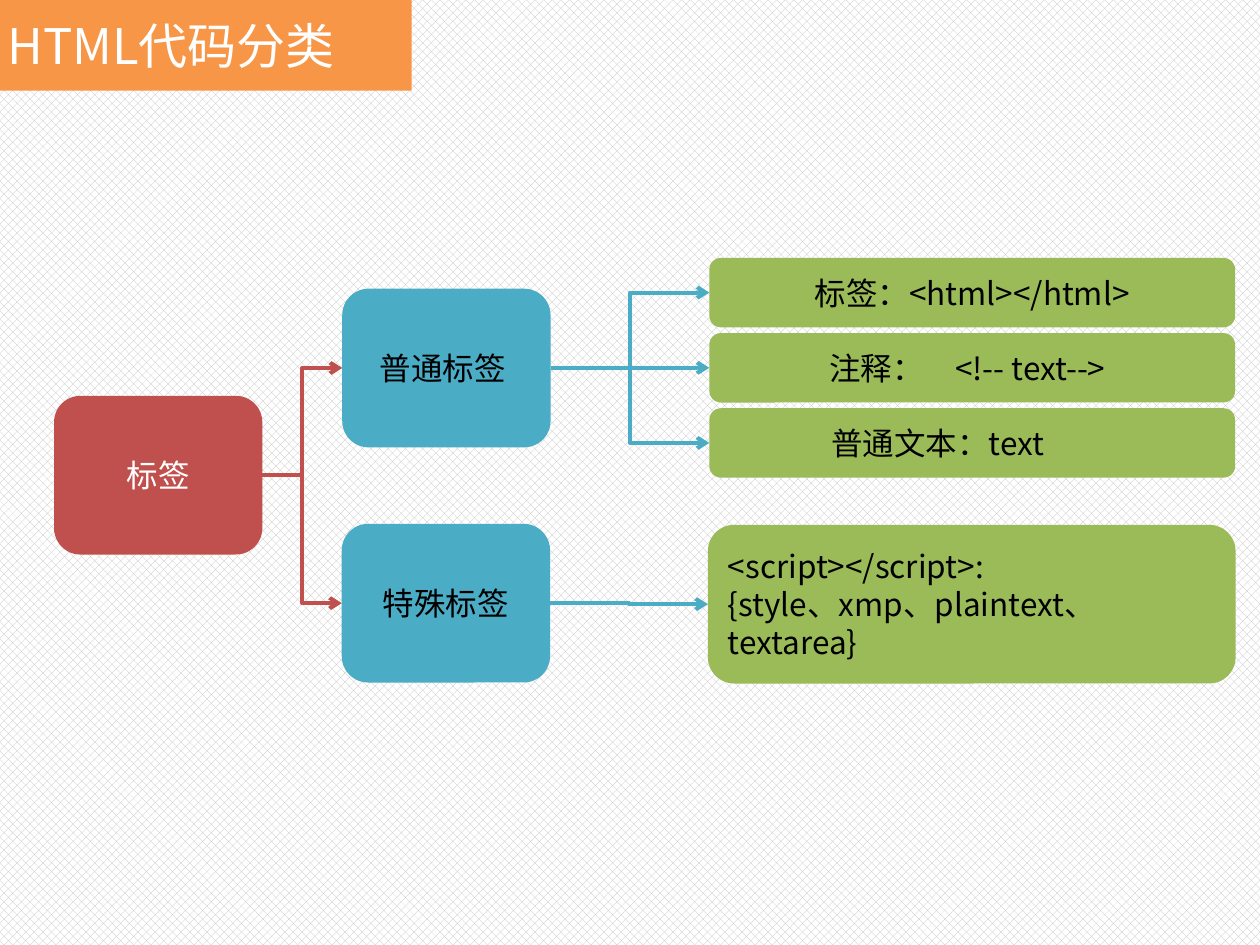
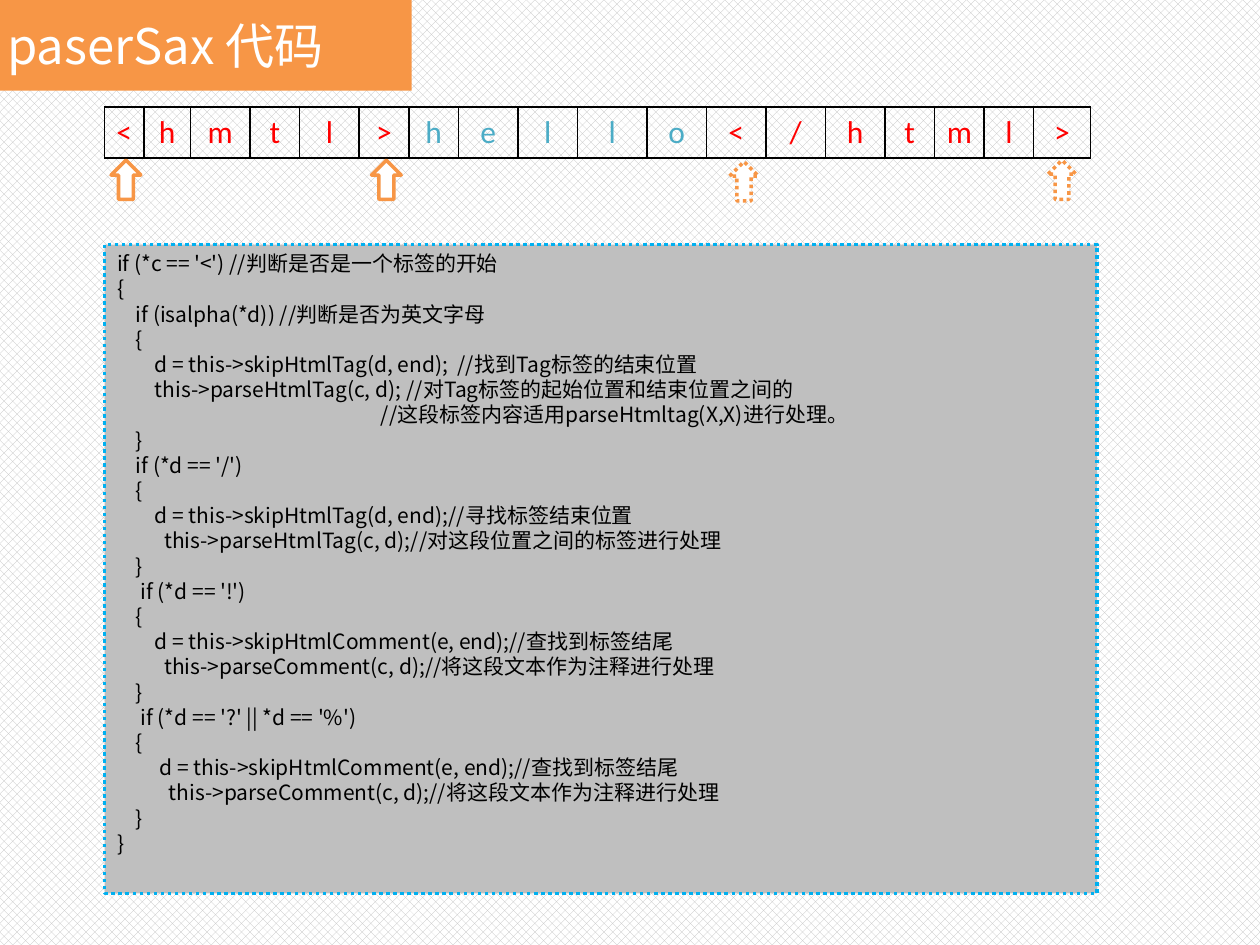
"""Build two slides on HTML tag classes and the paserSax parsing code."""
from lxml.etree import SubElement
from pptx import Presentation
from pptx.dml.color import RGBColor
from pptx.enum.dml import MSO_LINE, MSO_PATTERN
from pptx.enum.shapes import MSO_CONNECTOR, MSO_SHAPE as SHAPE
from pptx.enum.text import MSO_ANCHOR as ANCHOR, PP_ALIGN as ALIGN
from pptx.oxml.ns import qn
from pptx.util import Cm, Pt

WHITE = RGBColor(0xFF, 0xFF, 0xFF)
BLACK = RGBColor(0x00, 0x00, 0x00)
GREY = RGBColor(0xBF, 0xBF, 0xBF)
RED = RGBColor(0xC0, 0x50, 0x4D)
TEAL = RGBColor(0x4B, 0xAC, 0xC6)
GREEN = RGBColor(0x9B, 0xBB, 0x59)
ORANGE = RGBColor(0xF7, 0x96, 0x46)
TAG_RED = RGBColor(0xFF, 0x00, 0x00)
SKY = RGBColor(0x00, 0xB0, 0xF0)
FONT = "Noto Sans CJK SC"


def write(p, text, size, color, align=ALIGN.CENTER, font=FONT, indent=0, tab=0):
    p.alignment = align
    pPr = p._p.get_or_add_pPr()
    pPr.set("marL", str(Cm(indent)))
    pPr.set("indent", "0")
    if tab:
        tabs = SubElement(pPr, qn("a:tabLst"))
        SubElement(tabs, qn("a:tab"), pos=str(Cm(tab)), algn="l")
    r = p.add_run()
    r.text = text
    r.font.size = Pt(size)
    r.font.color.rgb = color
    r.font.name = font
    SubElement(r._r.get_or_add_rPr(), qn("a:ea"), typeface=font)


def add_box(s, kind, box, fill, line=None, dash=None):
    sp = s.shapes.add_shape(kind, *[Cm(v) for v in box])
    sp.shadow.inherit = False
    sp.fill.solid()
    sp.fill.fore_color.rgb = fill
    if line is None:
        sp.line.fill.background()
    else:
        sp.line.color.rgb = line
        sp.line.width = Pt(2)
        if dash:
            sp.line.dash_style = dash
    sp.text_frame.word_wrap = True
    return sp


prs = Presentation()
prs.slide_width, prs.slide_height = Cm(25.4), Cm(19.05)

slides = []
for title in ("HTML代码分类", "paserSax 代码"):
    s = prs.slides.add_slide(prs.slide_layouts[6])
    bg = s.background.fill
    bg.patterned()
    bg.pattern = MSO_PATTERN.PERCENT_50
    bg.fore_color.rgb = GREY
    bg.back_color.rgb = WHITE
    sp = add_box(s, SHAPE.RECTANGLE, (-0.1, 0, 8.4, 1.83), ORANGE)
    write(sp.text_frame.paragraphs[0], title, 28, WHITE, ALIGN.LEFT)
    slides.append(s)
tree, parser = slides

nodes = {}
for name, text, x, y, fill, color in (
    ("root", "标签", 1.09, 7.98, RED, WHITE),
    ("special", "特殊标签", 6.89, 10.56, TEAL, BLACK),
    ("normal", "普通标签 ", 6.9, 5.82, TEAL, BLACK),
):
    nodes[name] = add_box(tree, SHAPE.ROUNDED_RECTANGLE, (x, y, 4.2, 3.2), fill)
    write(nodes[name].text_frame.paragraphs[0], text, 18, color)

leaves = (
    ("标签：<html></html>", ALIGN.CENTER, 0, 0),
    ("注释：\t<!-- text-->", ALIGN.LEFT, 2.1, 4.84),
    ("普通文本：text", ALIGN.LEFT, 2.14, 0),
)
for i, (text, align, indent, tab) in enumerate(leaves):
    box = (14.3, 5.2 + 1.515 * i, 10.6, 1.4)
    nodes[i] = add_box(tree, SHAPE.ROUNDED_RECTANGLE, box, GREEN)
    write(nodes[i].text_frame.paragraphs[0], text, 18, BLACK, align, indent=indent, tab=tab)

nodes["script"] = add_box(tree, SHAPE.ROUNDED_RECTANGLE, (14.27, 10.58, 10.64, 3.2), GREEN)
tf = nodes["script"].text_frame
write(tf.paragraphs[0], "<script></script>:", 18, BLACK, ALIGN.LEFT)
write(tf.add_paragraph(), "{style、xmp、plaintext、textarea}", 18, BLACK, ALIGN.LEFT)

for start, end, color in (
    ("root", "normal", RED), ("root", "special", RED),
    ("normal", 0, TEAL), ("normal", 1, TEAL), ("normal", 2, TEAL),
    ("special", "script", TEAL),
):
    c = tree.shapes.add_connector(MSO_CONNECTOR.ELBOW, 0, 0, 0, 0)
    c.begin_connect(nodes[start], 3)
    c.end_connect(nodes[end], 1)
    c.line.color.rgb = color
    c.line.width = Pt(2.25)
    spPr = c._element.spPr
    SubElement(spPr.find(qn("a:ln")), qn("a:tailEnd"), type="arrow")
    SubElement(spPr, qn("a:effectLst"))

letters = "<hmtl>hello</html>"
widths = (0.79, 0.94, 1.2, 1, 1.2, 1, 1, 1.2, 1.2, 1.4, 1.2, 1.2, 1.2, 1.2, 1, 1, 1, 1.14)
frame = parser.shapes.add_table(1, len(letters), Cm(2.11), Cm(2.16), Cm(sum(widths)), Cm(1.03))
table = frame.table
table.first_row = table.horz_banding = False
for i, (letter, width) in enumerate(zip(letters, widths)):
    table.columns[i].width = Cm(width)
    cell = table.cell(0, i)
    cell.margin_left = cell.margin_right = 0
    tcPr = cell._tc.get_or_add_tcPr()
    for side in ("lnL", "lnR", "lnT", "lnB"):
        ln = SubElement(tcPr, qn("a:" + side), w=str(Pt(1)))
        solid = SubElement(ln, qn("a:solidFill"))
        SubElement(solid, qn("a:srgbClr"), val=str(BLACK))
    cell.fill.background()
    color = TEAL if 6 <= i <= 10 else TAG_RED
    write(cell.text_frame.paragraphs[0], letter, 18, color, font="Calibri")

for x, y, width, dash in (
    (2.24, 3.23, 0.6, None), (7.49, 3.23, 0.6, None),
    (14.71, 3.26, 0.58, MSO_LINE.ROUND_DOT), (21.13, 3.23, 0.56, MSO_LINE.ROUND_DOT),
):
    add_box(parser, SHAPE.UP_ARROW, (x, y, width, 0.79), WHITE, ORANGE, dash)

code = (
    (0, "if (*c == '<') //判断是否是一个标签的开始"),
    (0, "{"),
    (4, "if (isalpha(*d)) //判断是否为英文字母"),
    (4, "{"),
    (8, "d = this->skipHtmlTag(d, end);  //找到Tag标签的结束位置"),
    (8, "this->parseHtmlTag(c, d);\t//对Tag标签的起始位置和结束位置之间的"),
    (56, "//这段标签内容适用parseHtmltag(X,X)进行处理。"),
    (4, "}"),
    (4, "if (*d == '/')"),
    (4, "{"),
    (8, "d = this->skipHtmlTag(d, end);//寻找标签结束位置"),
    (10, "this->parseHtmlTag(c, d);//对这段位置之间的标签进行处理"),
    (4, "}"),
    (5, "if (*d == '!')"),
    (4, "{"),
    (8, "d = this->skipHtmlComment(e, end);//查找到标签结尾"),
    (10, "this->parseComment(c, d);//将这段文本作为注释进行处理"),
    (4, "}"),
    (5, "if (*d == '?' || *d == '%')"),
    (4, "{"),
    (9, "d = this->skipHtmlComment(e, end);//查找到标签结尾"),
    (11, "this->parseComment(c, d);//将这段文本作为注释进行处理"),
    (4, "}"),
    (0, "}"),
)
sp = add_box(parser, SHAPE.RECTANGLE, (2.11, 4.93, 20.01, 13.08), GREY, SKY, MSO_LINE.ROUND_DOT)
tf = sp.text_frame
tf.vertical_anchor = ANCHOR.TOP
for i, (spaces, text) in enumerate(code):
    p = tf.paragraphs[0] if i == 0 else tf.add_paragraph()
    tab = 6.69 if "\t" in text else 0
    write(p, text, 12, BLACK, ALIGN.LEFT, indent=spaces * 0.095, tab=tab)

prs.save("out.pptx")
